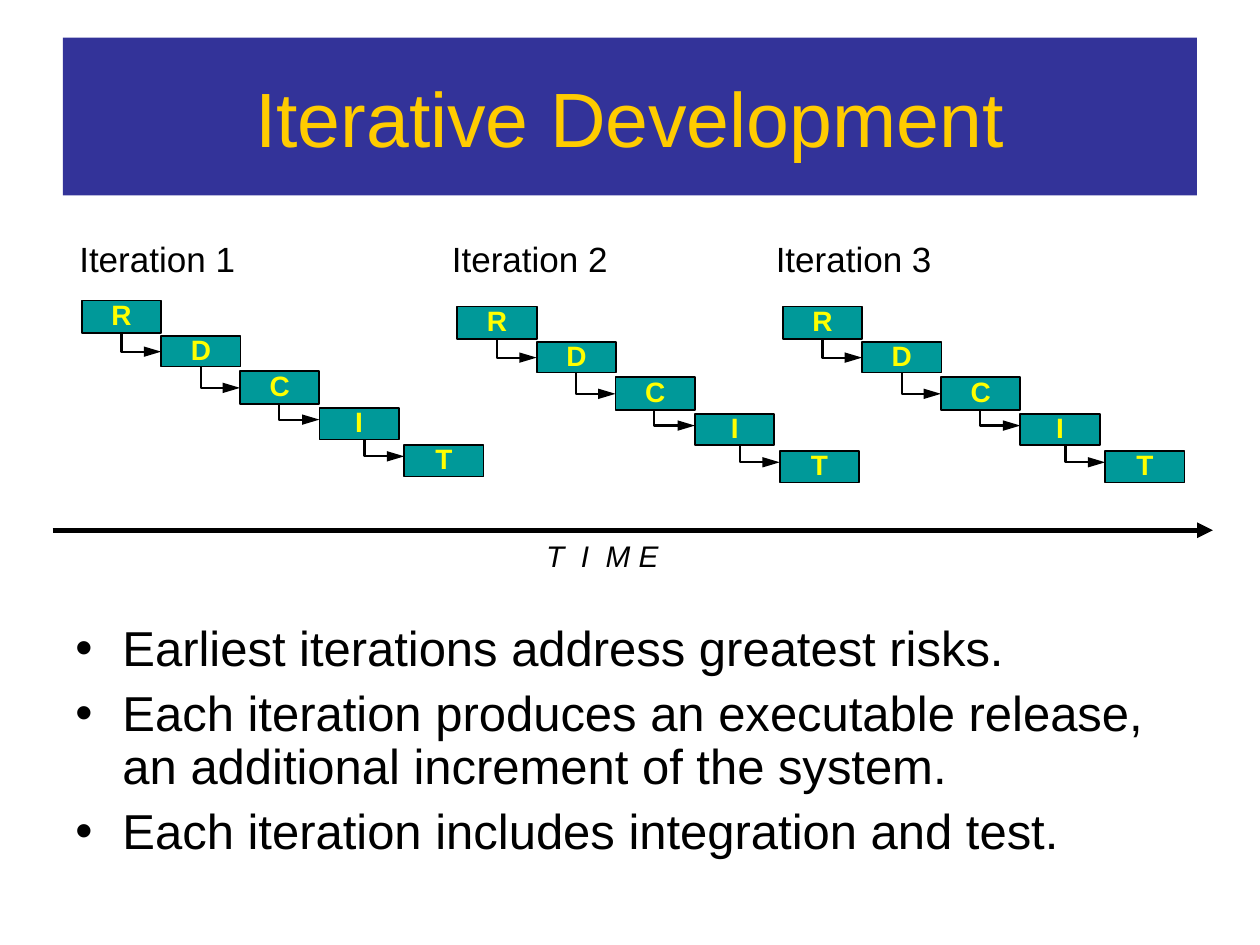
"""Build the Iterative Development slide: three waterfall staircases over a time line."""
import pptx
import pptx.util
import pptx.dml.color
import pptx.enum.shapes
import pptx.enum.text
import pptx.oxml.ns
import lxml.etree

Cm, Pt = pptx.util.Cm, pptx.util.Pt
PP_ALIGN, ANCHOR = pptx.enum.text.PP_ALIGN, pptx.enum.text.MSO_ANCHOR
CONNECTOR = pptx.enum.shapes.MSO_CONNECTOR

COLORS = {"banner": "333399", "title": "FFCC00", "box": "009999", "letter": "FFFF00", "ink": "000000"}
FONT = "Arial"
TITLE = "Iterative Development"
TIME = "T  I  M E"
BULLETS = [
    "Earliest iterations address greatest risks.",
    "Each iteration produces an executable release, an additional increment of the system.",
    "Each iteration includes integration and test.",
]
ITERATIONS = [
    {"label": "Iteration 1 ", "label_x": 1.35, "x": 1.65, "y": 6.06},
    {"label": "Iteration 2 ", "label_x": 8.86, "x": 9.22, "y": 6.18},
    {"label": "Iteration 3 ", "label_x": 15.39, "x": 15.78, "y": 6.18},
]
PHASES = [
    {"letter": "R", "dx": 0, "dy": 0, "h": 0.66, "exit": 0.8},
    {"letter": "D", "dx": 1.6, "dy": 0.72, "h": 0.61, "exit": 0.8, "entry": 0.31},
    {"letter": "C", "dx": 3.19, "dy": 1.42, "h": 0.66, "exit": 0.78, "entry": 0.34},
    {"letter": "I", "dx": 4.79, "dy": 2.17, "h": 0.63, "exit": 0.91, "entry": 0.23},
    {"letter": "T", "dx": 6.5, "dy": 2.91, "h": 0.64, "entry": 0.23},
]
BOX_W = 1.6


def rgb(name):
    return pptx.dml.color.RGBColor.from_string(COLORS[name])


def write(sp, lines, size, color, align=PP_ALIGN.LEFT, spacing=None, wrap=False, bold=False, italic=False):
    tf = sp.text_frame
    tf.text = "\n".join(lines)
    tf.word_wrap = wrap
    for p in tf.paragraphs:
        p.alignment = align
        p.line_spacing = spacing
        for r in p.runs:
            r.font.name, r.font.size = FONT, Pt(size)
            r.font.bold, r.font.italic = bold, italic
            r.font.color.rgb = rgb(color)
    return tf


def add_rect(slide, x, y, w, h, fill):
    sp = slide.shapes.add_shape(pptx.enum.shapes.MSO_SHAPE.RECTANGLE, Cm(x), Cm(y), Cm(w), Cm(h))
    sp.shadow.inherit = False
    sp.fill.solid()
    sp.fill.fore_color.rgb = rgb(fill)
    sp.text_frame.vertical_anchor = ANCHOR.MIDDLE
    return sp


def add_text(slide, x, y, w, h):
    return slide.shapes.add_textbox(Cm(x), Cm(y), Cm(w), Cm(h))


def set_insets(tf, side, top):
    tf.margin_left = tf.margin_right = Cm(side)
    tf.margin_top = tf.margin_bottom = Cm(top)


def add_arrow(slide, kind, x1, y1, x2, y2, width, head_len="med"):
    c = slide.shapes.add_connector(kind, Cm(x1), Cm(y1), Cm(x2), Cm(y2))
    c.line.color.rgb = rgb("ink")
    c.line.width = Pt(width)
    qn = pptx.oxml.ns.qn
    lxml.etree.SubElement(c.line._get_or_add_ln(), qn("a:tailEnd"), type="triangle", w="med", len=head_len)
    lxml.etree.SubElement(c._element.spPr, qn("a:effectLst"))
    return c


def add_elbow(slide, x1, y1, x2, y2):
    """Run down from the start, then right to the end."""
    cx, cy, half_w, half_h = (x1 + x2) / 2, (y1 + y2) / 2, (y2 - y1) / 2, (x2 - x1) / 2
    c = add_arrow(slide, CONNECTOR.ELBOW, cx + half_w, cy - half_h, cx - half_w, cy + half_h, 1.25, "lg")
    c._element.spPr.xfrm.set("rot", str(270 * 60000))
    c._element.spPr.prstGeom.set("prst", "bentConnector2")


def add_iteration(slide, it):
    label = add_text(slide, it["label_x"], 4.66, 3.84, 1.12)
    write(label, [it["label"]], 20, "ink", PP_ALIGN.CENTER)
    for phase in PHASES:
        sp = add_rect(slide, it["x"] + phase["dx"], it["y"] + phase["dy"], BOX_W, phase["h"], "box")
        sp.line.color.rgb = rgb("ink")
        sp.line.width = Pt(1)
        tf = write(sp, [phase["letter"]], 16, "letter", PP_ALIGN.CENTER, 0.87, bold=True)
        set_insets(tf, 0.23, 0.1)
    for a, b in zip(PHASES, PHASES[1:]):
        add_elbow(slide, it["x"] + a["dx"] + a["exit"], it["y"] + a["dy"] + a["h"],
                  it["x"] + b["dx"], it["y"] + b["dy"] + b["entry"])


def add_bullets(slide):
    tf = write(add_text(slide, 1.27, 12.46, 22.86, 5.95), BULLETS, 28, "ink", spacing=0.9, wrap=True)
    for p in tf.paragraphs:
        p.space_before = Pt(7)
        pPr = p._p.get_or_add_pPr()
        pPr.set("marL", str(Cm(0.95)))
        pPr.set("indent", str(-Cm(0.95)))
        lxml.etree.SubElement(pPr, pptx.oxml.ns.qn("a:buFont"), typeface=FONT)
        lxml.etree.SubElement(pPr, pptx.oxml.ns.qn("a:buChar"), char="•")


def main():
    prs = pptx.Presentation()
    prs.slide_width, prs.slide_height = Cm(25.4), Cm(19.05)
    slide = prs.slides.add_slide(prs.slide_layouts[6])
    banner = add_rect(slide, 1.27, 0.76, 22.86, 3.18, "banner")
    banner.line.fill.background()
    write(banner, [TITLE], 44, "title", PP_ALIGN.CENTER, wrap=True)
    add_bullets(slide)
    add_arrow(slide, CONNECTOR.STRAIGHT, 1.06, 10.69, 24.45, 10.69, 3)
    time = write(add_text(slide, 10.78, 10.83, 3.4, 0.86), [TIME], 17, "ink", spacing=0.9, wrap=True, italic=True)
    set_insets(time, 0.23, 0.1)
    for it in ITERATIONS:
        add_iteration(slide, it)
    prs.save("out.pptx")


if __name__ == "__main__":
    main()
